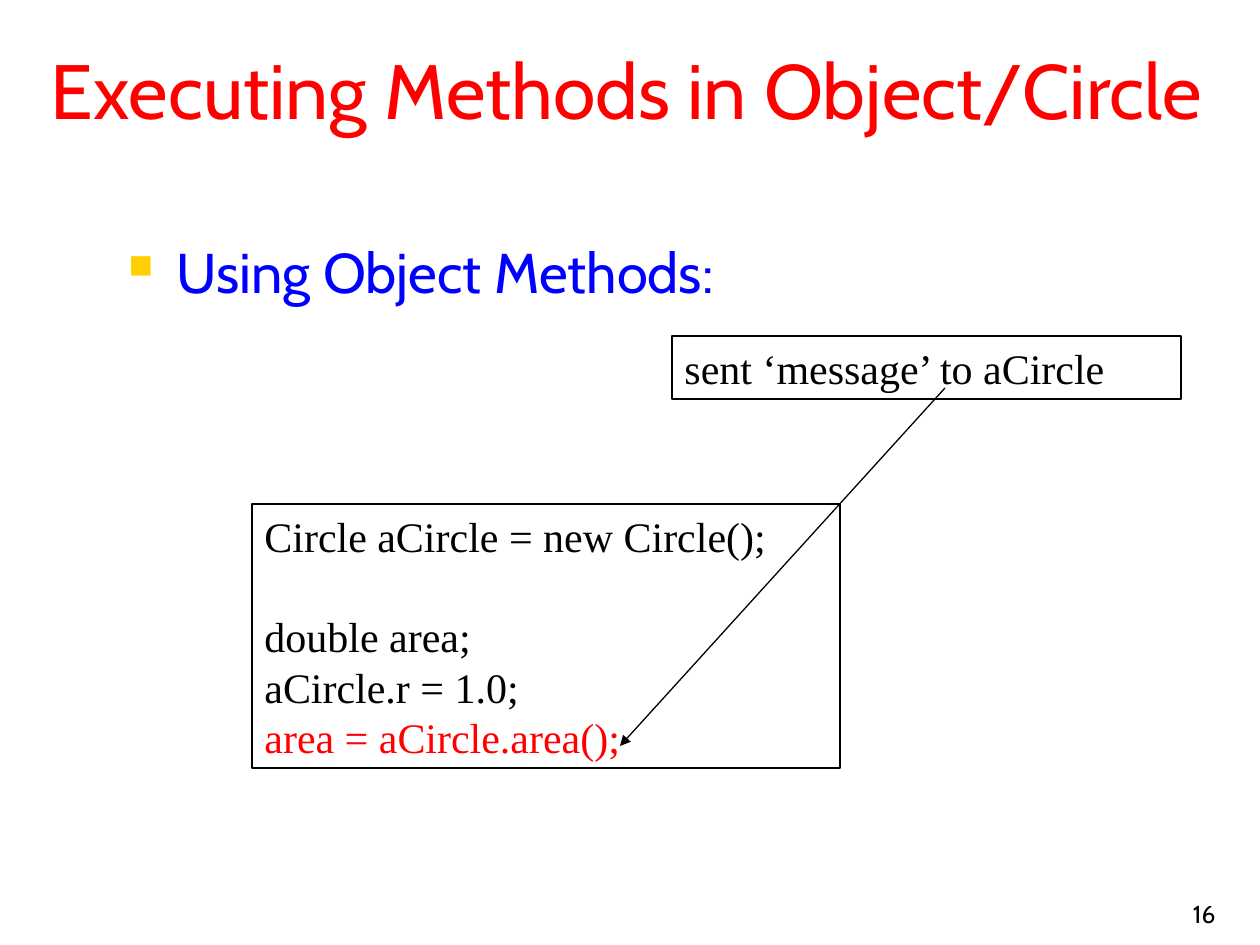
from dataclasses import dataclass

from lxml.etree import SubElement
from pptx import Presentation
from pptx.dml.color import RGBColor
from pptx.enum.shapes import MSO_CONNECTOR, MSO_SHAPE
from pptx.enum.text import MSO_ANCHOR as ANCHOR, PP_ALIGN as ALIGN
from pptx.oxml.ns import qn
from pptx.util import Pt

TITLE = "Executing Methods in Object/Circle"
BULLET = "Using Object Methods:"
MESSAGE = ["sent ‘message’ to aCircle"]
CODE = [
    "Circle aCircle = new Circle();",
    "double area;",
    "aCircle.r = 1.0;",
    "area = aCircle.area();",
]
DECLARATION, CALL = 1, 3  # code lines with a gap above, and in red
PAGE_NUMBER = "16"

# left, top, width, height in px
SLIDE_SIZE = (1260, 945)
TITLE_BOX = (21, 21, 1212, 136)
BULLET_BOX = (116, 231, 1112, 613)
MESSAGE_BOX = (672, 336, 509, 63)
CODE_BOX = (252, 504, 588, 264)
NUMBER_BOX = (966, 872, 262, 63)
ARROW = (945, 388, 620, 746)  # from x, y to x, y
BULLET_INDENT = 48


@dataclass(frozen=True)
class Theme:
    heading_font: str = "Cabin"
    code_font: str = "Times New Roman"
    red: str = "FF0000"
    blue: str = "0000FF"
    gold: str = "FFCF01"
    black: str = "000000"
    white: str = "FFFFFF"
    title_size: int = 44
    bullet_size: int = 32
    code_size: int = 24
    number_size: int = 14
    code_pitch: float = 28.8
    line_width: float = 0.75


THEME = Theme()


def px(*lengths):
    return [round(length * 914400 / 126) for length in lengths]


def format_runs(paragraph, font, size, color):
    for run in paragraph.runs:
        run.font.name = font
        run.font.size = Pt(size)
        run.font.color.rgb = RGBColor.from_string(color)


def set_line(line):
    line.color.rgb = RGBColor.from_string(THEME.black)
    line.width = Pt(THEME.line_width)


def add_title(slide):
    title = slide.shapes.title
    title.left, title.top, title.width, title.height = px(*TITLE_BOX)
    title.fill.solid()
    title.fill.fore_color.rgb = RGBColor.from_string(THEME.white)
    frame = title.text_frame
    frame.text = TITLE
    frame.vertical_anchor = ANCHOR.MIDDLE
    frame.paragraphs[0].alignment = ALIGN.CENTER
    format_runs(frame.paragraphs[0], THEME.heading_font, THEME.title_size, THEME.red)


def add_text(slide, box, text, size, color):
    frame = slide.shapes.add_textbox(*px(*box)).text_frame
    frame.word_wrap = True
    frame.text = text
    format_runs(frame.paragraphs[0], THEME.heading_font, size, color)
    return frame


def add_bullet(paragraph):
    """Give the paragraph a small gold square and a hanging indent."""
    paragraph.space_before = Pt(8)
    properties = paragraph._p.get_or_add_pPr()
    indent, = px(BULLET_INDENT)
    properties.set("marL", str(indent))
    properties.set("indent", str(-indent))
    color = SubElement(properties, qn("a:buClr"))
    SubElement(color, qn("a:srgbClr"), val=THEME.gold)
    SubElement(properties, qn("a:buSzPct"), val="60000")
    SubElement(properties, qn("a:buChar"), char="■")


def add_code_box(slide, box, lines):
    shape = slide.shapes.add_shape(MSO_SHAPE.RECTANGLE, *px(*box))
    shape.shadow.inherit = False
    shape.fill.background()
    set_line(shape.line)
    frame = shape.text_frame
    frame.word_wrap = True
    frame.vertical_anchor = ANCHOR.TOP
    frame.text = "\n".join(lines)
    for paragraph in frame.paragraphs:
        paragraph.alignment = ALIGN.LEFT
        paragraph.line_spacing = Pt(THEME.code_pitch)
        format_runs(paragraph, THEME.code_font, THEME.code_size, THEME.black)
    return frame.paragraphs


def add_arrow(slide):
    arrow = slide.shapes.add_connector(MSO_CONNECTOR.STRAIGHT, *px(*ARROW))
    set_line(arrow.line)
    SubElement(arrow.line._get_or_add_ln(), qn("a:tailEnd"), type="triangle")
    SubElement(arrow._element.spPr, qn("a:effectLst"))


def main():
    presentation = Presentation()
    presentation.slide_width, presentation.slide_height = px(*SLIDE_SIZE)
    slide = presentation.slides.add_slide(presentation.slide_layouts[5])

    number = add_text(slide, NUMBER_BOX, PAGE_NUMBER, THEME.number_size, THEME.black)
    number.vertical_anchor = ANCHOR.BOTTOM
    number.paragraphs[0].alignment = ALIGN.RIGHT

    add_title(slide)
    body = add_text(slide, BULLET_BOX, BULLET, THEME.bullet_size, THEME.blue)
    add_bullet(body.paragraphs[0])

    code = add_code_box(slide, CODE_BOX, CODE)
    code[DECLARATION].space_before = Pt(THEME.code_pitch)
    format_runs(code[CALL], THEME.code_font, THEME.code_size, THEME.red)
    add_arrow(slide)
    add_code_box(slide, MESSAGE_BOX, MESSAGE)

    presentation.save("out.pptx")


if __name__ == "__main__":
    main()
